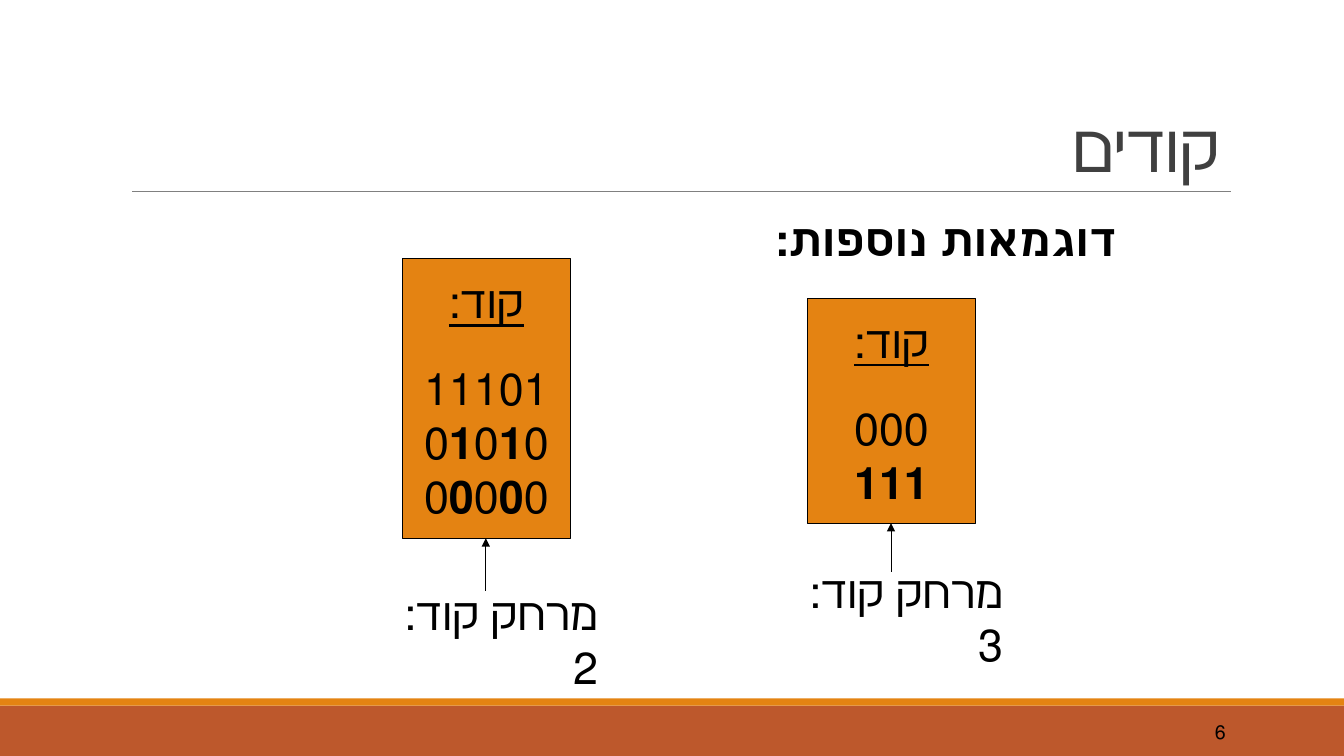
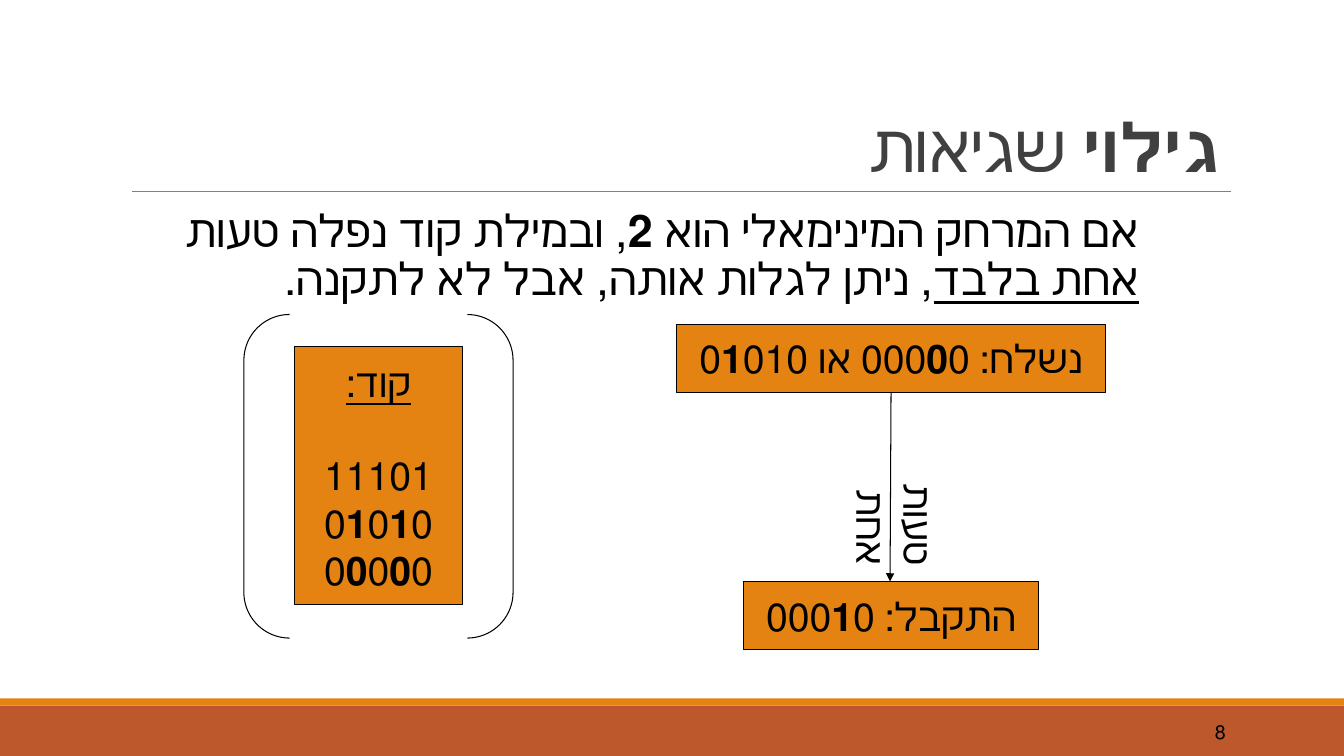
from lxml import etree
from pptx import Presentation
from pptx.dml.color import RGBColor
from pptx.enum.lang import MSO_LANGUAGE_ID
from pptx.enum.shapes import MSO_CONNECTOR, MSO_SHAPE
from pptx.enum.text import MSO_ANCHOR, PP_ALIGN
from pptx.oxml.ns import qn
from pptx.util import Pt

PX = 9144
WIDTH, HEIGHT = 4000 / 3, 750

RUST = RGBColor(0xBD, 0x58, 0x2C)
ORANGE = RGBColor(0xE4, 0x83, 0x12)
GRAY = RGBColor(0x80, 0x80, 0x80)
CHARCOAL = RGBColor(0x40, 0x40, 0x40)
BLACK = RGBColor(0, 0, 0)

HEBREW = MSO_LANGUAGE_ID.HEBREW
RECTANGLE = MSO_SHAPE.RECTANGLE
BRACKETS = MSO_SHAPE.DOUBLE_BRACKET
STRAIGHT = MSO_CONNECTOR.STRAIGHT
TOP, MIDDLE, BOTTOM = MSO_ANCHOR.TOP, MSO_ANCHOR.MIDDLE, MSO_ANCHOR.BOTTOM
CENTER, RIGHT = PP_ALIGN.CENTER, PP_ALIGN.RIGHT

BOLD = {"bold": True}
UNDERLINE = {"underline": True}
CODE_HEADING = [("קוד:", UNDERLINE)]
LONG_CODE = [
    ["11101"],
    ["0", ("1", BOLD), "0", ("1", BOLD), "0"],
    ["0", ("0", BOLD), "0", ("0", BOLD), "0"],
]
SHORT_CODE = [["000"], [("111", BOLD)]]


def px(*lengths):
    """Turn px lengths into EMU."""
    return [round(length * PX) for length in lengths]


def set_all(target, values):
    """Set each attribute named in a dict of format values."""
    for name, value in values.items():
        setattr(target, name, value)


def add_span(para, text, size, font="Arial", color=BLACK, spacing=None, **style):
    """Add one Hebrew run with its font and style."""
    span = para.add_run()
    span.text = text
    values = {"name": font, "size": Pt(size), "language_id": HEBREW, **style}
    set_all(span.font, values)
    span.font.color.rgb = color
    if spacing is not None:
        span.font._element.set("spc", str(spacing))


def write(shape, paragraphs, align, anchor, layout=None, wrap=True, **style):
    """Fill a shape with right-to-left paragraphs made of spans."""
    frame = shape.text_frame
    set_all(frame, {"word_wrap": wrap, "vertical_anchor": anchor})
    for index, spans in enumerate(paragraphs):
        para = frame.add_paragraph() if index else frame.paragraphs[0]
        set_all(para, {"alignment": align, **(layout or {})})
        para._p.get_or_add_pPr().set("rtl", "1")
        for item in spans:
            text, extra = (item, {}) if isinstance(item, str) else item
            add_span(para, text, **{**style, **extra})
    return frame


def add_text(page, place, spans, align=RIGHT, anchor=TOP, **options):
    """Add a text box with one paragraph."""
    box = page.shapes.add_textbox(*px(*place))
    write(box, [spans], align, anchor, **options)
    return box


def add_box(page, place, fill=None, line=None, kind=RECTANGLE):
    """Add a flat preset shape."""
    box = page.shapes.add_shape(kind, *px(*place))
    box.shadow.inherit = False
    if fill is None:
        box.fill.background()
    else:
        box.fill.solid()
        box.fill.fore_color.rgb = fill
    if line is None:
        box.line.fill.background()
    else:
        box.line.color.rgb = line
        box.line.width = Pt(0.75)
    return box


def add_line(page, start, end, color=BLACK, width=0.75, arrow=True):
    """Add a straight line, with an arrowhead at its end if wanted."""
    line = page.shapes.add_connector(STRAIGHT, *px(*start, *end))
    line.line.color.rgb = color
    line.line.width = Pt(width)
    if arrow:
        etree.SubElement(line.line._get_or_add_ln(), qn("a:tailEnd"), type="triangle")
    etree.SubElement(line._element.spPr, qn("a:effectLst"))


def add_label_box(page, place, spans):
    """Add an orange box with one centred line."""
    box = add_box(page, place, ORANGE, BLACK)
    write(box, [spans], CENTER, MIDDLE, wrap=False, size=28)


def add_code_box(page, place, words, size, gap):
    """Add an orange box that lists the words of a code."""
    box = add_box(page, place, ORANGE, BLACK)
    frame = write(box, [CODE_HEADING, *words], CENTER, MIDDLE, wrap=False, size=size)
    frame.paragraphs[0].space_after = Pt(gap)


def add_code_example(page, place, words, distance, label_top, arrow_start):
    """Add a code box with its distance label and arrow below."""
    left, top, width, height = place
    middle = left + width // 2
    add_code_box(page, place, words, size=32, gap=24)
    add_text(page, (left - 38, label_top, 242, 64), [f"מרחק קוד: {distance}"], size=32)
    add_line(page, (middle, arrow_start), (middle, top + height))


def add_body(page, place, spans):
    """Add the body text with its hanging indent."""
    layout = {"line_spacing": 0.9, "space_before": Pt(12), "space_after": Pt(2)}
    box = add_text(page, place, spans, layout=layout, size=32, font="Calibri")
    set_all(box.text_frame, {"margin_left": 0, "margin_right": 0})
    properties = box.text_frame.paragraphs[0]._p.get_or_add_pPr()
    for name, length in {"marL": 10, "indent": -10}.items():
        properties.set(name, str(length * PX))
    etree.SubElement(properties, qn("a:buFont"), typeface="Calibri")
    etree.SubElement(properties, qn("a:buChar"), char=" ")


def add_page(deck, title, number):
    """Add a blank page with bands, rule, title and page number."""
    page = deck.slides.add_slide(deck.slide_layouts[6])
    add_box(page, (0, 700, WIDTH, 50), RUST)
    add_box(page, (0, 693, WIDTH, 7), ORANGE)
    add_line(page, (131, 190), (1221, 190), GRAY, 0.5, arrow=False)
    add_text(page, (120, 31, 1100, 159), title, anchor=BOTTOM,
             layout={"line_spacing": 0.85}, size=48, font="Calibri",
             color=CHARCOAL, spacing=-50)
    add_text(page, (1083, 706, 143, 40), [str(number)], anchor=MIDDLE, size=14)
    return page


def add_codes_page(deck):
    """Build the page with two example codes."""
    page = add_page(deck, ["קודים"], 6)
    add_body(page, (219, 211, 900, 495), [("דוגמאות נוספות:", BOLD)])
    add_code_example(page, (399, 256, 167, 278), LONG_CODE, 2, 576, 586)
    add_code_example(page, (801, 296, 167, 223), SHORT_CODE, 3, 554, 567)


def add_detection_page(deck):
    """Build the page on detecting a single error."""
    page = add_page(deck, [("גילוי", BOLD), " שגיאות"], 8)
    add_body(page, (171, 202, 969, 440), [
        "אם המרחק המינימאלי הוא ", ("2", BOLD), ", ובמילת קוד נפלה טעות ",
        ("אחת בלבד", UNDERLINE), ", ניתן לגלות אותה, אבל לא לתקנה.",
    ])
    add_code_box(page, (292, 344, 167, 256), LONG_CODE, size=28, gap=33)
    add_label_box(page, (671, 322, 426, 67),
                  ["נשלח: 000", ("0", BOLD), "0 או 0", ("1", BOLD), "010"])
    add_label_box(page, (738, 577, 292, 67), ["התקבל: 000", ("1", BOLD), "0"])
    add_line(page, (884, 389), (883, 577))
    error_label = add_text(page, (821, 452, 181, 57), ["טעות אחת"], size=28)
    error_label.rotation = 90
    brackets = add_box(page, (242, 312, 267, 321), line=BLACK, kind=BRACKETS)
    brackets.adjustments[0] = 0.17


def main():
    """Build and save the deck."""
    deck = Presentation()
    deck.slide_width, deck.slide_height = px(WIDTH, HEIGHT)
    add_codes_page(deck)
    add_detection_page(deck)
    deck.save("out.pptx")


if __name__ == "__main__":
    main()
